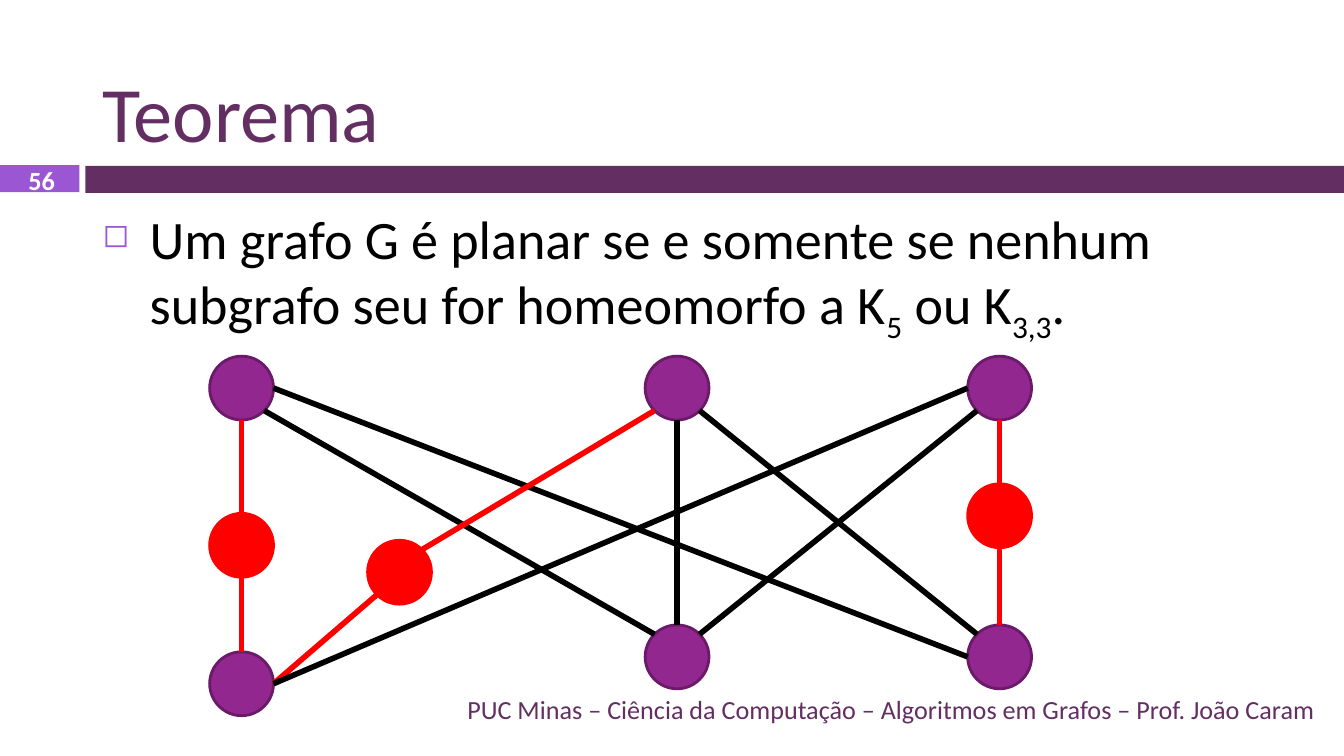
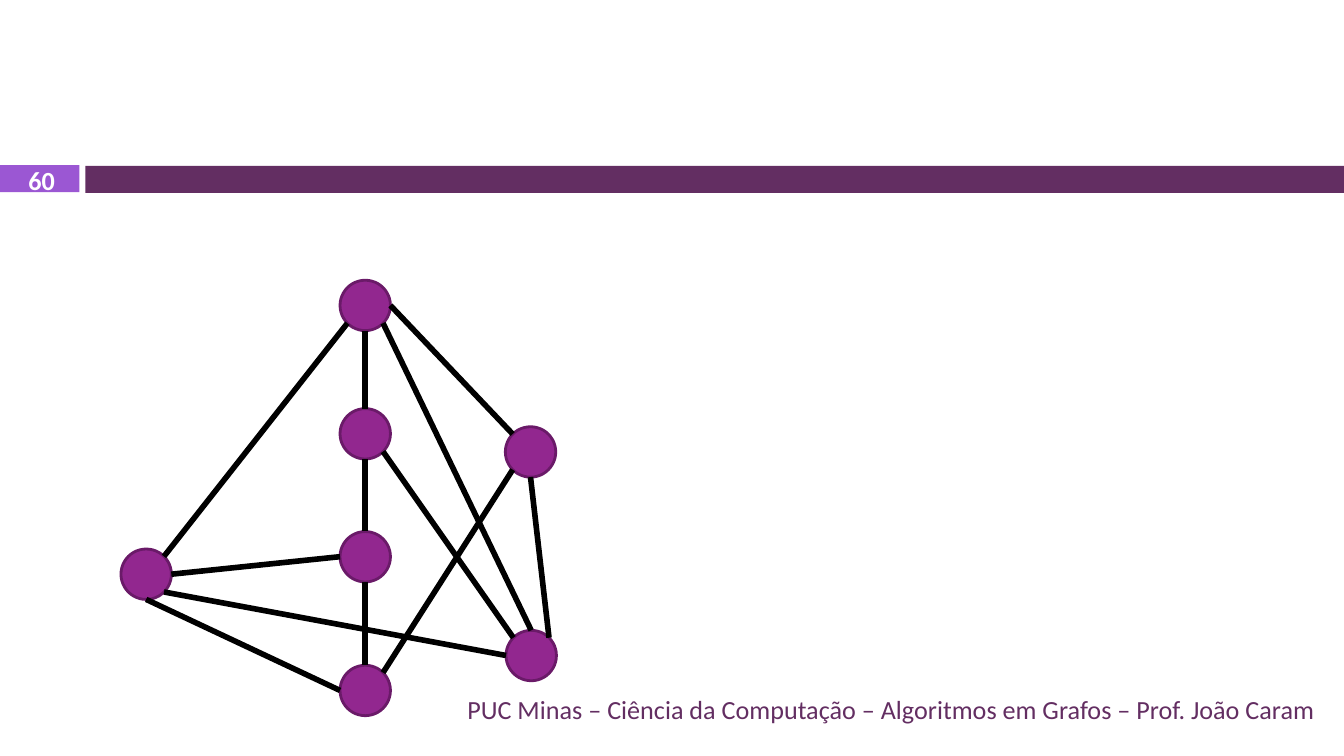
from math import cos, pi, sin

from lxml.etree import SubElement
from pptx import Presentation
from pptx.dml.color import RGBColor
from pptx.enum.shapes import MSO_CONNECTOR, MSO_SHAPE
from pptx.enum.text import MSO_ANCHOR, PP_ALIGN
from pptx.oxml.ns import qn
from pptx.util import Pt

PX = 4572
FONT = "Calibri"
FOOTER = "PUC Minas – Ciência da Computação – Algoritmos em Grafos – Prof. João Caram"

PLUM = RGBColor(0x63, 0x2E, 0x62)
LILAC = RGBColor(0x9B, 0x57, 0xD3)
PURPLE = RGBColor(0x92, 0x27, 0x8F)
EDGE = RGBColor(0x6A, 0x1A, 0x68)
RED = RGBColor(0xFF, 0x00, 0x00)
BLACK = RGBColor(0x00, 0x00, 0x00)
WHITE = RGBColor(0xFF, 0xFF, 0xFF)

TOP, TOP_LEFT, LEFT, LOW_LEFT, LOW, LOW_RIGHT, RIGHT, TOP_RIGHT = range(8)


def px(*values):
    return [value * PX for value in values]


def add_band(slide, box, color):
    band = slide.shapes.add_shape(MSO_SHAPE.RECTANGLE, *px(*box))
    band.shadow.inherit = False
    band.fill.solid()
    band.fill.fore_color.rgb = color
    band.line.fill.background()


def add_text(slide, box, runs, size, color, align=PP_ALIGN.LEFT,
             anchor=MSO_ANCHOR.MIDDLE, bold=False, bullet=False):
    frame = slide.shapes.add_textbox(*px(*box)).text_frame
    frame.word_wrap = True
    frame.vertical_anchor = anchor
    frame.margin_left, frame.margin_right = px(20, 20)
    frame.margin_top, frame.margin_bottom = px(10, 10)
    para = frame.paragraphs[0]
    para.alignment = align
    if bullet:
        add_bullet(para)
    for text, sub in runs:
        run = para.add_run()
        run.text = text
        if sub:
            run.font._element.set("baseline", "-25000")
    font = para.font
    font.name, font.size, font.bold = FONT, Pt(size), bold
    font.color.rgb = color


def add_bullet(para):
    props = para._p.get_or_add_pPr()
    indent = 70 * PX
    props.set("marL", str(indent))
    props.set("indent", str(-indent))
    color = SubElement(props, qn("a:buClr"))
    SubElement(color, qn("a:srgbClr"), val=str(LILAC))
    SubElement(props, qn("a:buSzPct"), val="60000")
    SubElement(props, qn("a:buChar"), char="◻")


def add_node(slide, left, top, size, fill=PURPLE, line=EDGE):
    node = slide.shapes.add_shape(MSO_SHAPE.OVAL, *px(left, top, size, size))
    node.shadow.inherit = False
    node.fill.solid()
    node.fill.fore_color.rgb = fill
    node.line.color.rgb = line
    node.line.width = Pt(1.5)
    return node


def find_point(node, site):
    angle = site * pi / 4
    half = node.width / 2
    return (round(node.left + half * (1 - sin(angle))),
            round(node.top + half * (1 - cos(angle))))


def add_edge(slide, start, out, end, into, color=BLACK):
    edge = slide.shapes.add_connector(
        MSO_CONNECTOR.STRAIGHT, *find_point(start, out), *find_point(end, into))
    edge.line.color.rgb = color
    edge.line.width = Pt(3)
    SubElement(edge._element.spPr, qn("a:effectLst"))
    links = edge._element.find(".//" + qn("p:cNvCxnSpPr"))
    for tag, node, site in (("a:stCxn", start, out), ("a:endCxn", end, into)):
        SubElement(links, qn(tag), id=str(node.shape_id), idx=str(site))


def add_page(deck, number, title=None, body=None):
    slide = deck.slides.add_slide(deck.slide_layouts[6])
    add_band(slide, (127, 247, 1873, 40), PLUM)
    add_band(slide, (0, 246, 118, 40), LILAC)
    if title:
        add_text(slide, (133, 26, 1844, 220), [(title, False)], 42, PLUM,
                 anchor=MSO_ANCHOR.BOTTOM)
    if body:
        add_text(slide, (133, 296, 1844, 716), body, 29, BLACK,
                 anchor=MSO_ANCHOR.TOP, bullet=True)
    add_text(slide, (4, 248, 116, 40), [(number, False)], 14, WHITE,
             PP_ALIGN.CENTER, bold=True)
    add_text(slide, (133, 1025, 1844, 60), [(FOOTER, False)], 14, PLUM,
             PP_ALIGN.RIGHT)
    return slide


def draw_theorem(deck):
    slide = add_page(deck, "56", "Teorema", [
        ("Um grafo G é planar se e somente se nenhum subgrafo seu "
         "for homeomorfo a K", False),
        ("5", True), (" ou K", False), ("3,3", True), (".", False)])
    size = 95
    upper = [add_node(slide, x, 530, size) for x in (312, 960, 1440)]
    lower = [add_node(slide, x, y, size)
             for x, y in ((312, 970), (960, 930), (1440, 930))]
    extra = [add_node(slide, x, y, size, RED, RED)
             for x, y in ((312, 764), (547, 804), (1440, 720))]

    for start, out, end, into in (
            (lower[0], RIGHT, extra[1], LOW_LEFT),
            (lower[0], TOP, extra[0], LOW),
            (extra[0], TOP, upper[0], LOW),
            (upper[2], LOW, extra[2], TOP),
            (extra[2], LOW, lower[2], TOP)):
        add_edge(slide, start, out, end, into, RED)
    for start, out, end, into in (
            (lower[0], RIGHT, upper[2], LEFT),
            (lower[1], TOP_LEFT, upper[0], LOW_RIGHT),
            (lower[2], LEFT, upper[0], RIGHT),
            (lower[1], TOP, upper[1], LOW),
            (lower[2], TOP_LEFT, upper[1], LOW_RIGHT),
            (upper[2], LOW_LEFT, lower[1], TOP_RIGHT)):
        add_edge(slide, start, out, end, into)
    add_edge(slide, extra[1], TOP_RIGHT, upper[1], LOW_LEFT, RED)


def draw_graph(deck):
    slide = add_page(deck, "60")
    size = 75
    west = add_node(slide, 180, 817, size)
    spine = [add_node(slide, 506, y, size) for y in (417, 608, 791, 990)]
    east = add_node(slide, 752, 635, size)
    south = add_node(slide, 753, 938, size)

    for above, below in zip(spine, spine[1:]):
        add_edge(slide, above, LOW, below, TOP)
    for start, out, end, into in (
            (west, TOP_RIGHT, spine[0], LOW_LEFT),
            (west, RIGHT, spine[2], LEFT),
            (west, LOW, spine[3], LEFT),
            (south, LEFT, west, LOW_RIGHT),
            (east, LOW, south, TOP_RIGHT),
            (spine[0], RIGHT, east, TOP_LEFT),
            (spine[0], LOW_RIGHT, south, TOP),
            (spine[1], LOW_RIGHT, south, TOP_LEFT),
            (east, LOW_LEFT, spine[3], TOP_RIGHT)):
        add_edge(slide, start, out, end, into)


def main():
    deck = Presentation()
    deck.slide_width, deck.slide_height = px(2000, 1125)
    draw_theorem(deck)
    draw_graph(deck)
    deck.save("out.pptx")


if __name__ == "__main__":
    main()
